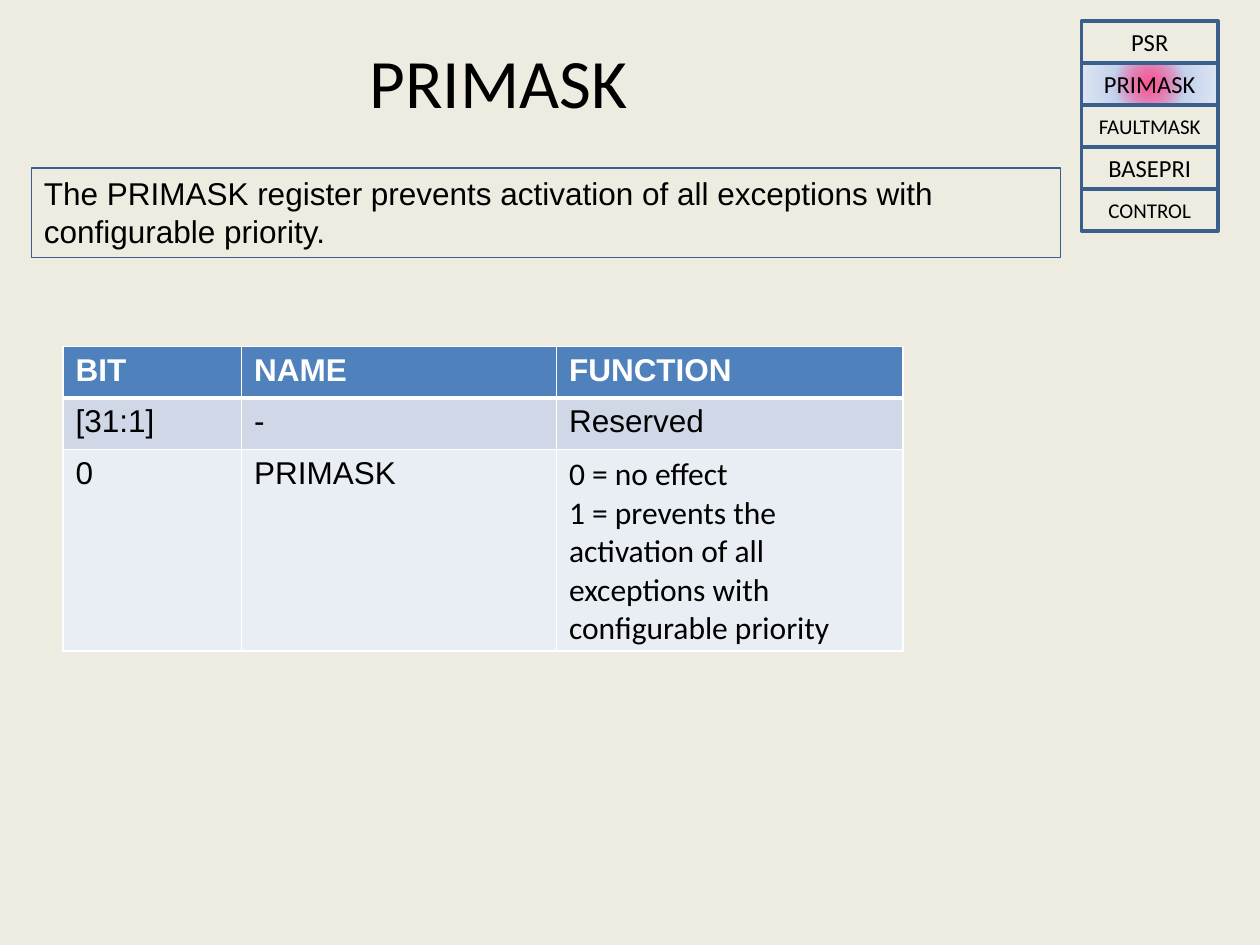
"""Build the PRIMASK register slide."""
from dataclasses import dataclass

from lxml import etree
from pptx import Presentation
from pptx import util as u
from pptx.dml.color import RGBColor
from pptx.enum import shapes, text
from pptx.oxml import parse_xml
from pptx.oxml.ns import nsdecls, qn

COLUMNS, ROWS = 120, 90
UNIT = u.Inches(10) // COLUMNS
BACKGROUND = RGBColor(0xEE, 0xEC, 0xE1)
OUTLINE = RGBColor(0x3A, 0x5F, 0x8C)
BLACK = RGBColor(0, 0, 0)
WHITE = RGBColor(0xFF, 0xFF, 0xFF)
HEADER = RGBColor(0x4F, 0x81, 0xBD)
BANDS = (RGBColor(0xD0, 0xD8, 0xE8), RGBColor(0xE9, 0xED, 0xF4))
GLOW = f"""<a:gradFill {nsdecls('a')} rotWithShape="1"><a:gsLst>
<a:gs pos="0"><a:srgbClr val="FF0066"><a:alpha val="62000"/></a:srgbClr></a:gs>
<a:gs pos="50000"><a:srgbClr val="C2D1ED"/></a:gs>
<a:gs pos="100000"><a:srgbClr val="E1E8F5"/></a:gs></a:gsLst>
<a:path path="circle"><a:fillToRect l="50000" t="50000" r="50000" b="50000"/></a:path>
</a:gradFill>"""


@dataclass(frozen=True)
class Area:
    """A rectangle in grid units."""
    column: float
    row: float
    width: float
    height: float

    def lengths(self) -> list[int]:
        """Return left, top, width and height as slide lengths."""
        return [round(value * UNIT) for value in
                (self.column, self.row, self.width, self.height)]


@dataclass(frozen=True)
class Register:
    """One entry of the register list."""
    name: str
    size: float = 14
    current: bool = False


REGISTERS = (
    Register("PSR"),
    Register("PRIMASK", current=True),
    Register("FAULTMASK", 12),
    Register("BASEPRI"),
    Register("CONTROL", 12),
)
TABLE_COLUMNS = (17, 30, 33)
TABLE_ROWS = (4.9, 4.9, 19.2)
CELLS = (
    ("BIT", "NAME", "FUNCTION"),
    ("[31:1]", "-", "Reserved"),
    ("0", "PRIMASK", "0 = no effect\n1 = prevents the activation of all "
                     "exceptions with configurable priority"),
)


def write(frame, words: str, size: float, font: str = "Calibri",
          color: RGBColor = BLACK, bold: bool = False, align=None) -> None:
    """Fill a text frame with evenly styled paragraphs."""
    frame.word_wrap = True
    frame.text = words
    for para in frame.paragraphs:
        para.alignment = align
        para.font.size = u.Pt(size)
        para.font.name = font
        para.font.bold = bold
        para.font.color.rgb = color


def add_frame(page, area: Area, line_width: float):
    """Add an unfilled outlined rectangle."""
    box = page.shapes.add_shape(shapes.MSO_SHAPE.RECTANGLE, *area.lengths())
    box.shadow.inherit = False
    box.fill.background()
    box.line.color.rgb = OUTLINE
    box.line.width = u.Pt(line_width)
    return box


def add_register(page, register: Register, area: Area) -> None:
    """Add a register box, glowing when it is the current one."""
    box = add_frame(page, area, 2)
    if register.current:
        properties = box._element.spPr
        properties.replace(properties.find(qn("a:noFill")), parse_xml(GLOW))
    box.text_frame.vertical_anchor = text.MSO_ANCHOR.MIDDLE
    write(box.text_frame, register.name, register.size, align=text.PP_ALIGN.CENTER)


def set_border(cell, side: str, width: float) -> None:
    """Draw one white side of a table cell."""
    line = etree.SubElement(cell._tc.get_or_add_tcPr(), qn(f"a:ln{side}"),
                            w=str(u.Pt(width)))
    fill = etree.SubElement(line, qn("a:solidFill"))
    etree.SubElement(fill, qn("a:srgbClr"), val=str(WHITE))


def add_bit_table(page, column: float, row: float) -> None:
    """Add the table of register bits."""
    area = Area(column, row, sum(TABLE_COLUMNS), sum(TABLE_ROWS))
    table = page.shapes.add_table(len(CELLS), len(TABLE_COLUMNS), *area.lengths()).table
    for index, width in enumerate(TABLE_COLUMNS):
        table.columns[index].width = round(width * UNIT)
    for index, height in enumerate(TABLE_ROWS):
        table.rows[index].height = round(height * UNIT)
        is_header = index == 0
        for position, words in enumerate(CELLS[index]):
            cell = table.cell(index, position)
            for side in "LRTB":
                under_header = (index, side) in ((0, "B"), (1, "T"))
                set_border(cell, side, 3 if under_header else 1)
            cell.fill.solid()
            cell.fill.fore_color.rgb = HEADER if is_header else BANDS[index - 1]
            write(cell.text_frame, words, 18, "Calibri" if "\n" in words else "Arial",
                  WHITE if is_header else BLACK, is_header)


def main() -> None:
    """Build and save the deck."""
    deck = Presentation()
    deck.slide_width, deck.slide_height = COLUMNS * UNIT, ROWS * UNIT
    page = deck.slides.add_slide(deck.slide_layouts[6])
    page.background.fill.solid()
    page.background.fill.fore_color.rgb = BACKGROUND

    title = page.shapes.add_textbox(*Area(2, 3, 91, 9.4).lengths())
    title.text_frame.vertical_anchor = text.MSO_ANCHOR.MIDDLE
    write(title.text_frame, "PRIMASK", 39.6, align=text.PP_ALIGN.CENTER)

    for index, register in enumerate(REGISTERS):
        add_register(page, register, Area(103, 2 + 4 * index, 13, 4))

    summary = add_frame(page, Area(3, 16, 98, 8.5), 0.75)
    summary.text_frame.vertical_anchor = text.MSO_ANCHOR.TOP
    write(summary.text_frame, "The PRIMASK register prevents activation of all "
          "exceptions with configurable priority.", 18, "Arial",
          align=text.PP_ALIGN.LEFT)

    add_bit_table(page, 6, 33)
    deck.save("out.pptx")


if __name__ == "__main__":
    main()
